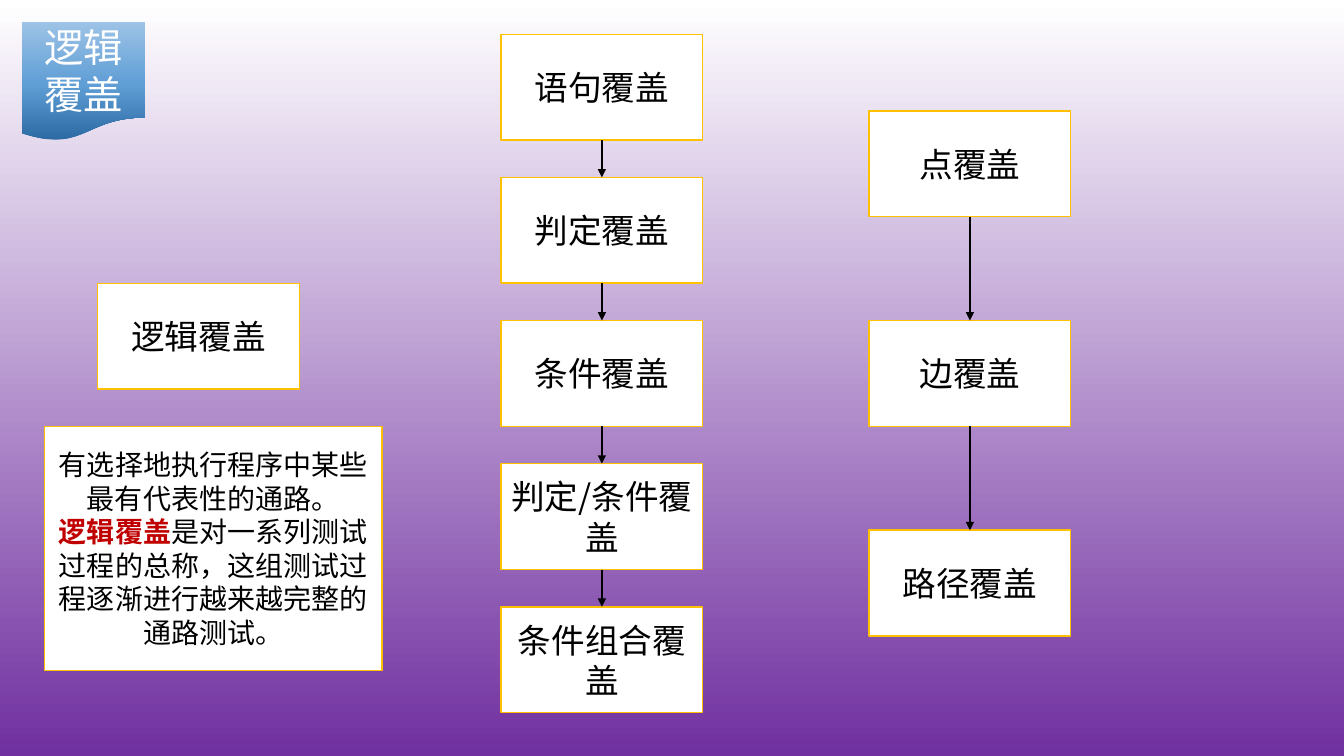
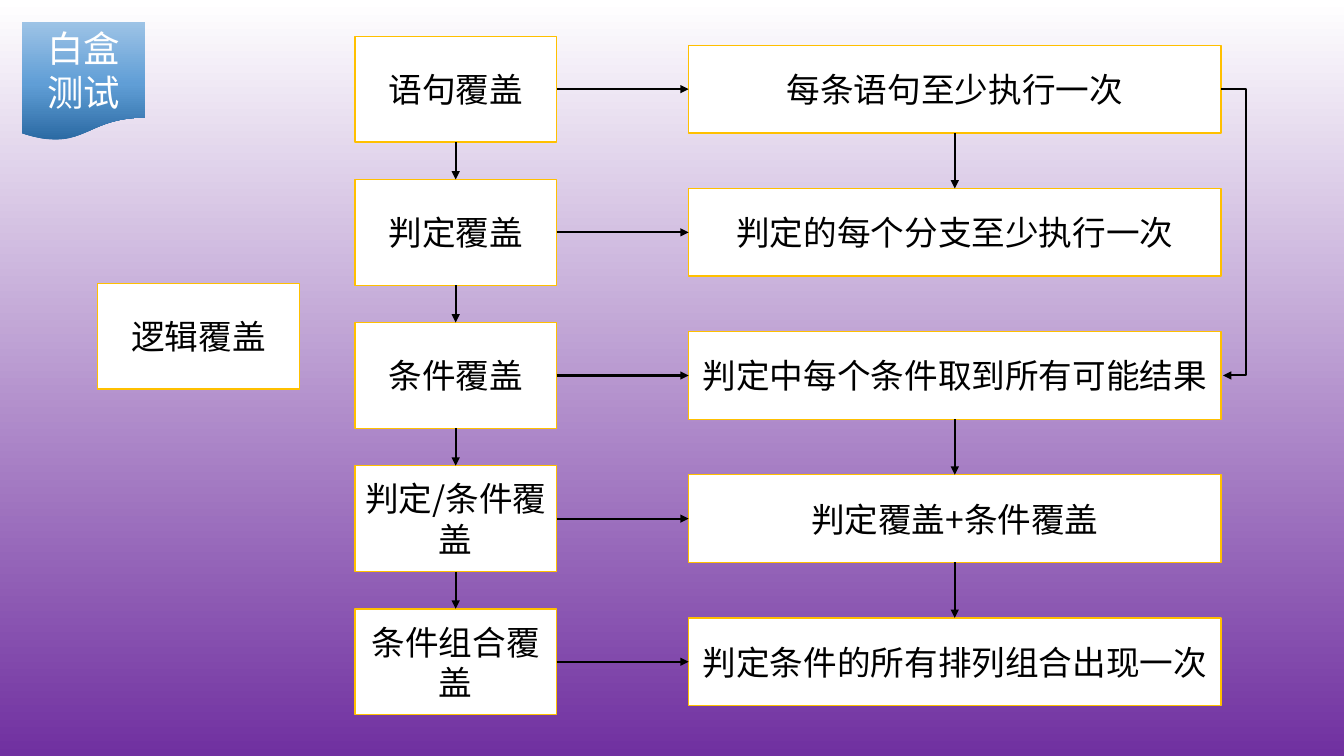
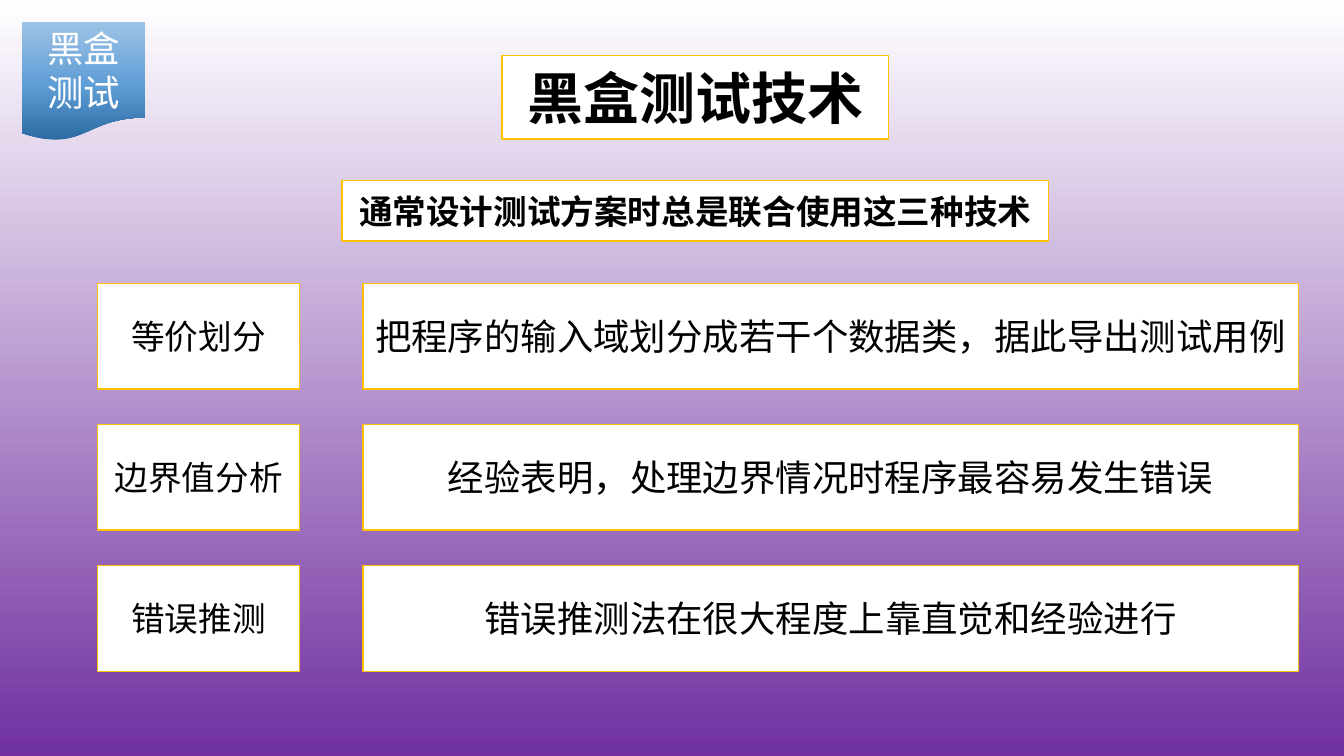
from copy import deepcopy

from lxml.etree import SubElement
from pptx import Presentation
from pptx.dml.color import RGBColor
from pptx.enum.shapes import MSO_CONNECTOR as Connector, MSO_SHAPE as Shape
from pptx.enum.text import MSO_ANCHOR as Anchor, MSO_AUTO_SIZE as AutoSize, PP_ALIGN as Align
from pptx.oxml.ns import qn
from pptx.util import Inches, Pt

WHITE = RGBColor(0xFF, 0xFF, 0xFF)
BLACK = RGBColor(0x00, 0x00, 0x00)
PURPLE = RGBColor(0x70, 0x30, 0xA0)
GOLD = RGBColor(0xFF, 0xC0, 0x00)
RED = RGBColor(0xC0, 0x00, 0x00)
BADGE_STOPS = [
    (0, RGBColor(0x2A, 0x69, 0xA2)),
    (0.48, RGBColor(0x60, 0x9E, 0xD6)),
    (1, RGBColor(0x9D, 0xC3, 0xE6)),
]
FONT = "Noto Sans CJK SC"
LATIN_FONT = "Arial"

TOPIC = "逻辑覆盖"
SUMMARY = [
    ["有选择地执行程序中某些最有代表性的通路。"],
    [TOPIC, "是对一系列测试过程的总称，这组测试过程逐渐进行越来越完整的通路测试。"],
]
COVERAGES = [
    ("语句覆盖", "每条语句至少执行一次"),
    ("判定覆盖", "判定的每个分支至少执行一次"),
    ("条件覆盖", "判定中每个条件取到所有可能结果"),
    ("判定/条件覆盖", "判定覆盖+条件覆盖"),
    ("条件组合覆盖", "判定条件的所有排列组合出现一次"),
]
COVERAGE_NAMES = [name for name, meaning in COVERAGES]
MEANINGS = [meaning for name, meaning in COVERAGES]
GRAPH_COVERAGES = ["点覆盖", "边覆盖", "路径覆盖"]
BLACK_BOX_TITLE = "黑盒测试技术"
BLACK_BOX_NOTE = "通常设计测试方案时总是联合使用这三种技术"
TECHNIQUES = [
    ("等价划分", "把程序的输入域划分成若干个数据类，据此导出测试用例"),
    ("边界值分析", "经验表明，处理边界情况时程序最容易发生错误"),
    ("错误推测", "错误推测法在很大程度上靠直觉和经验进行"),
]

TOPIC_LEFT, TOPIC_TOP = 0.97, 2.81
NAME_WIDTH, NAME_HEIGHT = 2, 1.05
COVERAGE_PITCH = 1.42
GRAPH_PITCH = 2.08
TECHNIQUE_PITCH = 1.4
MEANING_LEFT, MEANING_WIDTH, MEANING_HEIGHT = 6.83, 5.28, 0.87
TOP, LEFT, BOTTOM, RIGHT = range(4)


def set_text(shape, paragraphs, size, color=BLACK, bold=False, font=FONT):
    frame = shape.text_frame
    frame.word_wrap = True
    frame.auto_size = AutoSize.NONE
    frame.vertical_anchor = Anchor.MIDDLE
    for index, runs in enumerate(paragraphs):
        paragraph = frame.add_paragraph() if index else frame.paragraphs[0]
        paragraph.alignment = Align.CENTER
        paragraph.font.size = Pt(size)
        paragraph.font.bold = bold
        paragraph.font.name = font
        paragraph.font.color.rgb = color
        for text in runs:
            run = paragraph.add_run()
            run.text = text
            if len(runs) > 1 and text == TOPIC:
                run.font.bold = True
                run.font.name = LATIN_FONT
                run.font.color.rgb = RED
    for latin in list(shape.element.iter(qn("a:latin"))):
        east_asian = deepcopy(latin)
        east_asian.tag = qn("a:ea")
        east_asian.set("typeface", FONT)
        latin.addnext(east_asian)


def frame_box(shape):
    shape.fill.solid()
    shape.fill.fore_color.rgb = WHITE
    shape.line.color.rgb = GOLD
    shape.line.width = Pt(1)


def add_box(slide, text, left, top, width=NAME_WIDTH, height=NAME_HEIGHT, size=24, bold=False):
    box = slide.shapes.add_shape(
        Shape.RECTANGLE, Inches(left), Inches(top), Inches(width), Inches(height))
    box.shadow.inherit = False
    frame_box(box)
    set_text(box, [[text]] if isinstance(text, str) else text, size, bold=bold)
    return box


def add_column(slide, texts, left, top, pitch, **options):
    return [add_box(slide, text, left, top + row * pitch, **options)
            for row, text in enumerate(texts)]


def add_arrow(slide, kind=Connector.STRAIGHT, begin=(0, 0), end=(0, 0)):
    arrow = slide.shapes.add_connector(kind, *map(Inches, begin + end))
    arrow.line.color.rgb = BLACK
    arrow.line.width = Pt(1.5)
    line = arrow.element.spPr.find(qn("a:ln"))
    SubElement(line, qn("a:tailEnd"), type="triangle")
    SubElement(arrow.element.spPr, qn("a:effectLst"))
    return arrow


def link(slide, source, source_side, target, target_side):
    arrow = add_arrow(slide)
    arrow.begin_connect(source, source_side)
    arrow.end_connect(target, target_side)


def link_down(slide, boxes):
    for upper, lower in zip(boxes, boxes[1:]):
        link(slide, upper, BOTTOM, lower, TOP)


def add_bypass(slide, right, start, end, reach=0.25, step=0.02):
    elbow = add_arrow(slide, Connector.ELBOW, (right, start), (right + step, end))
    adjustments = elbow.element.spPr.find(".//" + qn("a:avLst"))
    SubElement(adjustments, qn("a:gd"), name="adj1", fmla=f"val {round(reach / step * 100000)}")


def add_badge(slide, text, size):
    badge = slide.shapes.add_shape(
        Shape.FLOWCHART_DOCUMENT, Inches(0.22), Inches(0.22), Inches(1.22), Inches(1.18))
    badge.shadow.inherit = False
    badge.line.fill.background()
    badge.fill.gradient()
    badge.fill.gradient_angle = 90
    first_stop = badge.element.spPr.find(".//" + qn("a:gs"))
    first_stop.addnext(deepcopy(first_stop))
    for stop, (position, color) in zip(badge.fill.gradient_stops, BADGE_STOPS):
        stop.position = position
        stop.color.rgb = color
    set_text(badge, [[text]], size, WHITE)


def add_slide(layout_name, badge_text, badge_size):
    slide = presentation.slides.add_slide(presentation.slide_layouts.get_by_name(layout_name))
    add_badge(slide, badge_text, badge_size)
    return slide


def build_logic_coverage():
    slide = add_slide("Blank", TOPIC, 28)
    add_box(slide, TOPIC, TOPIC_LEFT, TOPIC_TOP)
    link_down(slide, add_column(slide, COVERAGE_NAMES, 4.97, 0.34, COVERAGE_PITCH))
    link_down(slide, add_column(slide, GRAPH_COVERAGES, 8.62, 1.1, GRAPH_PITCH))
    add_box(slide, SUMMARY, 0.44, 4.23, 3.35, 2.42, size=20)


def build_white_box():
    slide = add_slide("Blank", "白盒测试", 26)
    add_box(slide, TOPIC, TOPIC_LEFT, TOPIC_TOP)
    top = 0.36
    names = add_column(slide, COVERAGE_NAMES, 3.52, top, COVERAGE_PITCH)
    meanings = add_column(
        slide, MEANINGS, MEANING_LEFT, top + (NAME_HEIGHT - MEANING_HEIGHT) / 2,
        COVERAGE_PITCH, width=MEANING_WIDTH, height=MEANING_HEIGHT)
    link_down(slide, names)
    link_down(slide, meanings[:2])
    link_down(slide, meanings[2:])
    for name, meaning in zip(names, meanings):
        link(slide, name, RIGHT, meaning, LEFT)
    middle = top + NAME_HEIGHT / 2
    add_bypass(slide, MEANING_LEFT + MEANING_WIDTH, middle, middle + 2 * COVERAGE_PITCH)


def build_black_box():
    slide = add_slide("Title Only", "黑盒测试", 26)
    title = slide.shapes.title
    title.left, title.top = Inches(4.98), Inches(0.55)
    title.width, title.height = Inches(3.83), Inches(0.83)
    frame_box(title)
    set_text(title, [[BLACK_BOX_TITLE]], 40, bold=True, font=LATIN_FONT)
    add_box(slide, BLACK_BOX_NOTE, 3.39, 1.79, 7.01, 0.6, bold=True)
    for row, (name, meaning) in enumerate(TECHNIQUES):
        top = TOPIC_TOP + row * TECHNIQUE_PITCH
        add_box(slide, name, TOPIC_LEFT, top)
        add_box(slide, meaning, 3.6, top, width=9.28, size=26)


presentation = Presentation()
presentation.slide_width = Inches(13.33)
presentation.slide_height = Inches(7.5)
backdrop = presentation.slide_master.background.fill
backdrop.gradient()
backdrop.gradient_angle = 270
for stop, color in zip(backdrop.gradient_stops, (WHITE, PURPLE)):
    stop.color.rgb = color

build_logic_coverage()
build_white_box()
build_black_box()
presentation.save("out.pptx")
